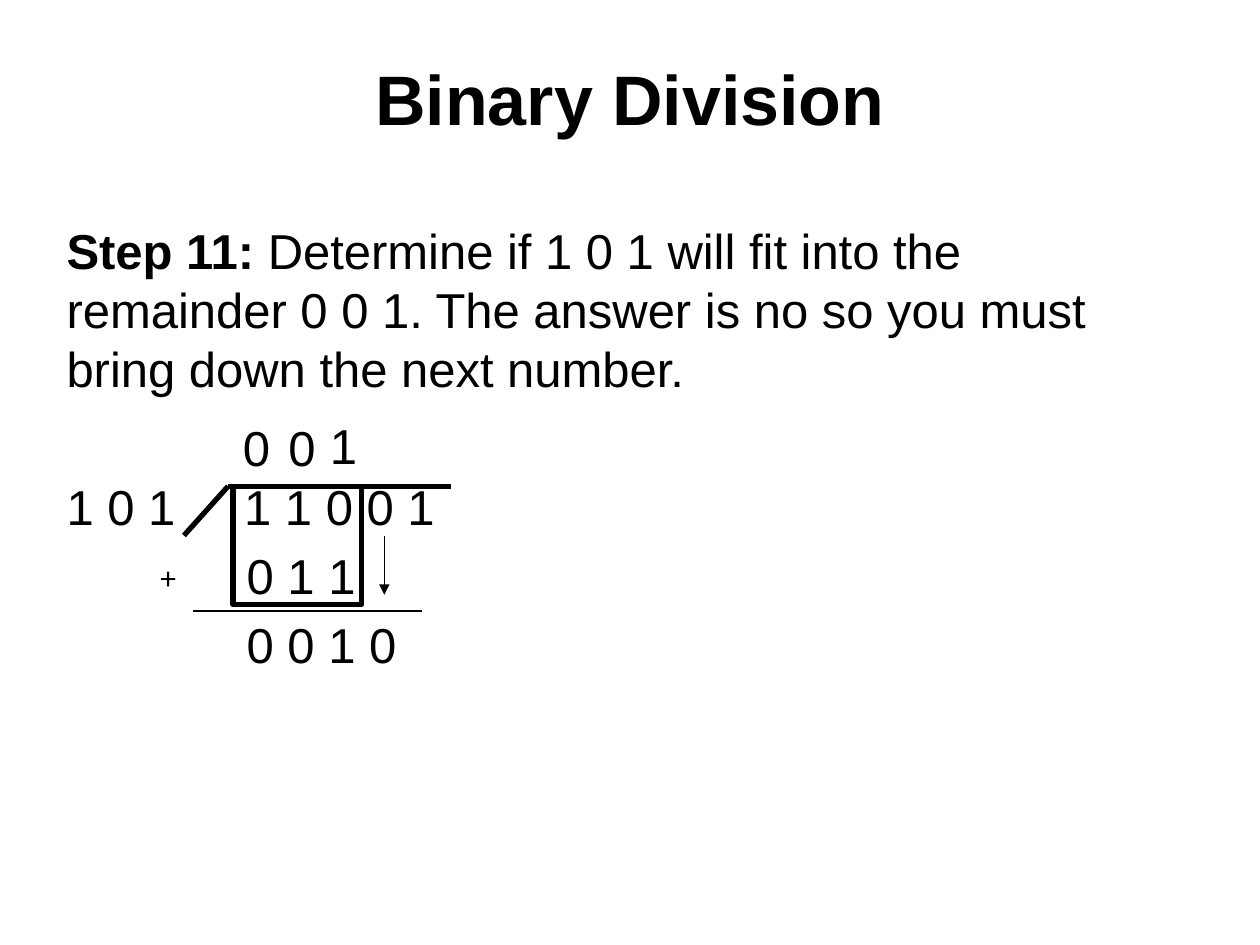
from lxml.etree import SubElement
from pptx import Presentation
from pptx.dml.color import RGBColor
from pptx.enum.shapes import MSO_CONNECTOR as Connector, MSO_SHAPE as Shape
from pptx.enum.text import MSO_ANCHOR as Anchor, PP_ALIGN as Align
from pptx.oxml.ns import qn
from pptx.util import Inches, Pt

BLACK = RGBColor(0, 0, 0)
BODY_SIZE = 28
BODY_LEADING = Pt(33.75)
ROW_GAP = 5.6


def style(paragraph, size, font="Arial", align=Align.LEFT):
    paragraph.alignment = align
    paragraph.font.size = Pt(size)
    paragraph.font.name = font
    paragraph.font.color.rgb = BLACK


def add_box(slide, left, top, width, height, anchor=Anchor.TOP):
    box = slide.shapes.add_textbox(Inches(left), Inches(top), Inches(width), Inches(height))
    frame = box.text_frame
    frame.word_wrap = True
    frame.vertical_anchor = anchor
    return frame


def add_centred(slide, text, left, top, width, height, size, font="Arial", anchor=Anchor.TOP):
    paragraph = add_box(slide, left, top, width, height, anchor).paragraphs[0]
    paragraph.text = text
    style(paragraph, size, font, Align.CENTER)
    return paragraph


def set_tab(paragraph, position):
    properties = paragraph._p.get_or_add_pPr()
    tabs = SubElement(properties, qn("a:tabLst"))
    SubElement(tabs, qn("a:tab"), pos=str(Inches(position)), algn="l")
    defaults = properties.find(qn("a:defRPr"))
    if defaults is not None:
        defaults.addprevious(tabs)


def add_body(slide):
    """Explanation followed by the rows of the division, aligned by a tab stop."""
    frame = add_box(slide, 0.43, 1.7, 9, 5.53)
    step = frame.paragraphs[0]
    step.line_spacing = BODY_LEADING
    style(step, BODY_SIZE)
    step.add_run().text = "Step 11: "
    step.runs[0].font.bold = True
    step.add_run().text = (
        "Determine if 1 0 1 will fit into the remainder 0 0 1. "
        "The answer is no so you must bring down the next number."
    )
    rows = [
        ("1 0 1\t1 1 0 0 1", 1.41, 45),
        ("\t0 1 1", 1.43, ROW_GAP),
        ("\t0 0 1 0", 1.43, ROW_GAP),
    ]
    for text, tab, gap in rows:
        row = frame.add_paragraph()
        row.text = text
        row.line_spacing = BODY_LEADING
        row.space_before = Pt(gap)
        style(row, BODY_SIZE)
        set_tab(row, tab)


def add_line(slide, start, end, width, arrow=False):
    points = [Inches(value) for value in (*start, *end)]
    connector = slide.shapes.add_connector(Connector.STRAIGHT, *points)
    connector.line.color.rgb = BLACK
    connector.line.width = Pt(width)
    if arrow:
        SubElement(connector.line._get_or_add_ln(), qn("a:tailEnd"), type="triangle")
    SubElement(connector._element.spPr, qn("a:effectLst"))


def add_frame(slide, left, top, width, height):
    shape = slide.shapes.add_shape(
        Shape.RECTANGLE, Inches(left), Inches(top), Inches(width), Inches(height))
    shape.shadow.inherit = False
    shape.fill.background()
    shape.line.color.rgb = BLACK
    shape.line.width = Pt(3)


def main():
    presentation = Presentation()
    presentation.slide_width = Inches(10)
    presentation.slide_height = Inches(7.5)
    slide = presentation.slides.add_slide(presentation.slide_layouts[6])

    title = add_centred(slide, "Binary Division", 0.5, 0.3, 9, 0.95, 40, anchor=Anchor.MIDDLE)
    title.font.bold = True
    add_body(slide)

    bracket_corner = (1.81, 3.86)
    add_line(slide, bracket_corner, (3.58, 3.86), 3)
    add_line(slide, bracket_corner, (1.46, 4.25), 3)
    add_frame(slide, 1.85, 3.86, 1.02, 0.94)
    add_centred(slide, "+", 1.14, 4.38, 0.39, 0.4, 18, "Calibri")
    add_line(slide, (1.53, 4.85), (3.35, 4.85), 1.5)
    add_line(slide, (3.05, 4.25), (3.05, 4.72), 0.75, arrow=True)

    for digit, left, top in [("0", 1.83, 3.26), ("0", 2.19, 3.26), ("1", 2.52, 3.25)]:
        quotient = add_centred(slide, digit, left, top, 0.39, 0.57, BODY_SIZE)
        quotient.line_spacing = BODY_LEADING

    presentation.save("out.pptx")


if __name__ == "__main__":
    main()
